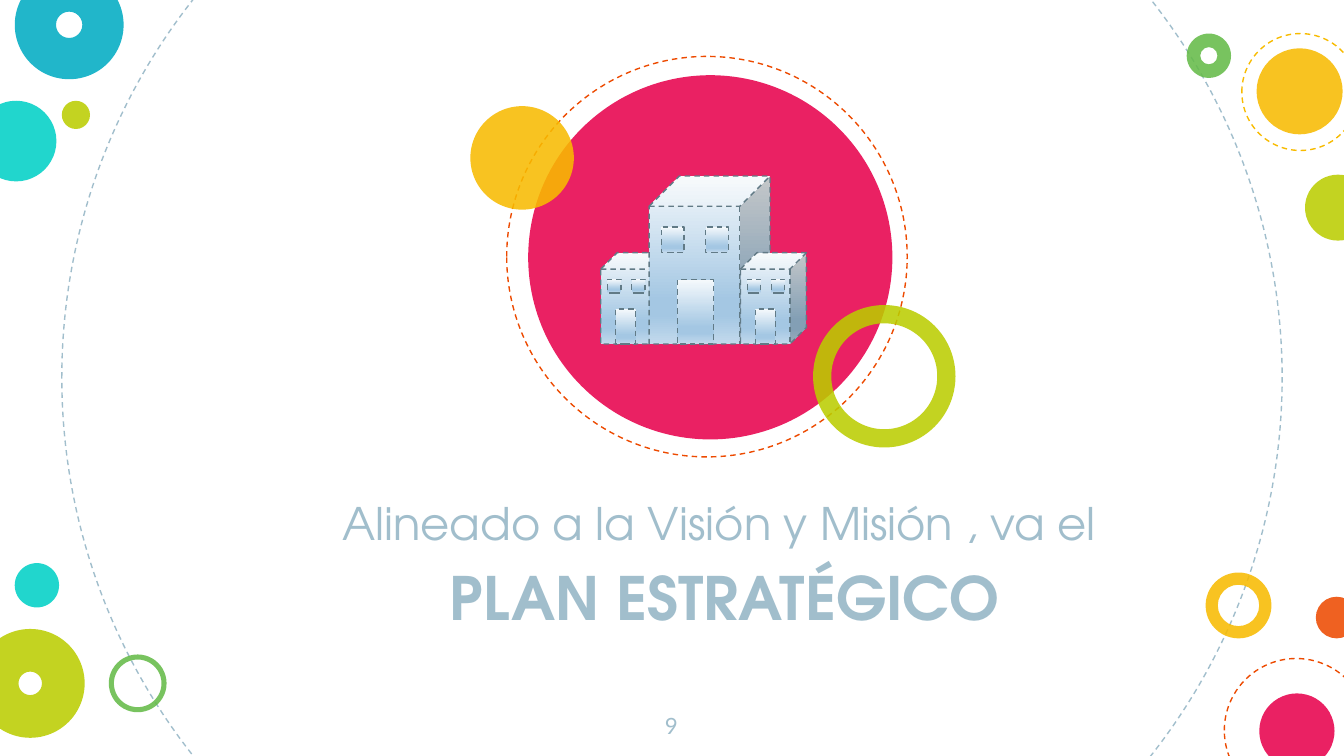
import pptx
import pptx.util
import pptx.dml.color
import pptx.enum.dml
import pptx.enum.shapes
import pptx.enum.text
import pptx.oxml
import pptx.oxml.ns

Inches, Pt = pptx.util.Inches, pptx.util.Pt
KIND = pptx.enum.shapes.MSO_SHAPE
TEXT = pptx.enum.text
qn = pptx.oxml.ns.qn

MIST, SLATE, PINK, RUST = "A1BECC", "617A86", "E8004C", "ED4A00"
GOLD, LIME, LEAF, AQUA, TEAL = "F8BB00", "BBCD00", "65BB48", "00D1C6", "00ACC3"
GLASS = [(0, "F5F9FC"), (74, "A4C7E3"), (83, "A4C7E3"), (100, "C2D9EC")]


def tint(text):
    return pptx.dml.color.RGBColor.from_string(text)


def assign(item, values):
    for name, value in values.items():
        setattr(item, name, value)


def place(parts, kind, left, top, width, height):
    shape = parts.add_shape(kind, *map(Inches, (left, top, width, height)))
    shape.shadow.inherit = False
    return shape


def dash(shape, color):
    assign(shape.line, {"width": Pt(0.75),
                        "dash_style": pptx.enum.dml.MSO_LINE.DASH})
    shape.line.color.rgb = tint(color)


def disc(parts, left, top, size, color, hole=None):
    """Translucent dot, or a ring when a hole is given."""
    kind = KIND.OVAL if hole is None else KIND.DONUT
    shape = place(parts, kind, left, top, size, size)
    if hole is not None:
        shape.adjustments[0] = hole
    shape.fill.solid()
    shape.fill.fore_color.rgb = tint(color)
    shape.line.fill.background()
    node = next(shape._element.spPr.iter(qn("a:srgbClr")))
    node.append(pptx.oxml.parse_xml(
        f'<a:alpha {pptx.oxml.ns.nsdecls("a")} val="87000"/>'))


def orbit(parts, left, top, size, color):
    """Dashed circle without fill."""
    shape = place(parts, KIND.OVAL, left, top, size, size)
    shape.fill.background()
    dash(shape, color)


def pane(parts, kind, *box):
    """Glass part of a building."""
    shape = place(parts, kind, *box)
    shape.fill.gradient()
    stops = next(shape._element.spPr.iter(qn("a:gsLst")))
    for stop in list(stops):
        stops.remove(stop)
    for spot, color in GLASS:
        stops.append(pptx.oxml.parse_xml(
            f'<a:gs {pptx.oxml.ns.nsdecls("a")} pos="{spot * 1000}">'
            f'<a:srgbClr val="{color}"/></a:gs>'))
    shape.fill.gradient_angle = 270
    dash(shape, SLATE)


def tower(parts, left, top, width, height, door, panes):
    """Cube with a door standing on its base and a row of windows."""
    group = parts.add_group_shape().shapes
    pane(group, KIND.CUBE, left, top, width, height)
    inset, wide, tall = door
    pane(group, KIND.RECTANGLE, left + inset, top + height - tall, wide, tall)
    first, drop, step, wide, tall = panes
    for i in range(2):
        pane(group, KIND.RECTANGLE, left + first + i * step, top + drop,
             wide, tall)


def write(shape, box, lines):
    """Fill a text shape with (text, font values, space before) lines."""
    assign(shape, dict(zip(("left", "top", "width", "height"),
                           map(Inches, box))))
    frame = shape.text_frame
    assign(frame, {"word_wrap": True, "auto_size": TEXT.MSO_AUTO_SIZE.NONE,
                   "vertical_anchor": TEXT.MSO_ANCHOR.TOP})
    assign(frame, {"margin_" + side: Inches(0.1)
                   for side in ("left", "top", "right", "bottom")})
    for i, (text, font, gap) in enumerate(lines):
        para = frame.add_paragraph() if i else frame.paragraphs[0]
        assign(para, {"alignment": TEXT.PP_ALIGN.CENTER,
                      "space_before": Pt(gap), "line_spacing": 1.0})
        run = para.add_run()
        run.text = text
        assign(run.font, font)
        run.font.color.rgb = tint(MIST)


def border(parts):
    """Circles along the slide edges."""
    orbit(parts, 0.46, -1.73, 9.08, MIST)
    orbit(parts, 9.11, 4.9, 1.07, RUST)
    for dot in [
        (-0.18, 0.75, 0.6, AQUA), (8.97, 4.26, 0.49, GOLD, 0.186),
        (0.11, -0.22, 0.81, TEAL, 0.379), (0.46, 0.75, 0.21, LIME),
        (0.81, 4.87, 0.43, LEAF, 0.088), (9.79, 4.44, 0.31, RUST),
        (-0.18, 4.68, 0.81, LIME, 0.392), (9.37, 5.16, 0.56, PINK),
        (8.83, 0.25, 0.33, LEAF, 0.306), (9.35, 0.36, 0.64, GOLD),
        (9.71, 1.3, 0.49, LIME), (0.11, 4.19, 0.33, AQUA),
    ]:
        disc(parts, *dot)
    orbit(parts, 9.24, 0.25, 0.87, GOLD)


def emblem(parts, left, top):
    """Large disc with its satellites."""
    disc(parts, left + 0.43, top + 0.14, 2.71, PINK)
    orbit(parts, left + 0.27, top, 2.98, RUST)
    disc(parts, left, top + 0.37, 0.77, GOLD)
    disc(parts, left + 2.55, top + 1.85, 1.06, LIME, 0.128)


def city(parts, left, top):
    """Tall block between two low wings."""
    wing = (0.49, 0.68, (0.11, 0.15, 0.26), (0.05, 0.2, 0.18, 0.1, 0.1))
    tower(parts, left, top + 0.57, *wing)
    tower(parts, left + 0.36, top, 0.9, 1.25, (0.21, 0.27, 0.48),
          (0.09, 0.38, 0.33, 0.17, 0.19))
    tower(parts, left + 1.04, top + 0.57, *wing)


# Wide slide, 16 to 9
deck = pptx.Presentation()
wide = Inches(10)
assign(deck, {"slide_width": wide, "slide_height": wide * 9 // 16})
slide = deck.slides.add_slide(deck.slide_layouts[5])
parts = slide.shapes

border(parts)
face = "TeX Gyre Adventor"
write(parts.title, (1.82, 3.59, 7.15, 1.48), [
    ("Alineado a la Visión y Misión , va el ",
     {"size": Pt(24), "name": face, "bold": False}, 6),
    ("PLAN ESTRATÉGICO", {"size": Pt(32), "name": face, "bold": True}, 6),
])
emblem(parts, 3.5, 0.42)
page = parts.add_textbox(0, 0, 0, 0)
write(page, (4.74, 5.2, 0.51, 0.43),
      [("9", {"size": Pt(12), "name": "Lato"}, 0)])
city(parts, 4.47, 1.31)
deck.save("out.pptx")
